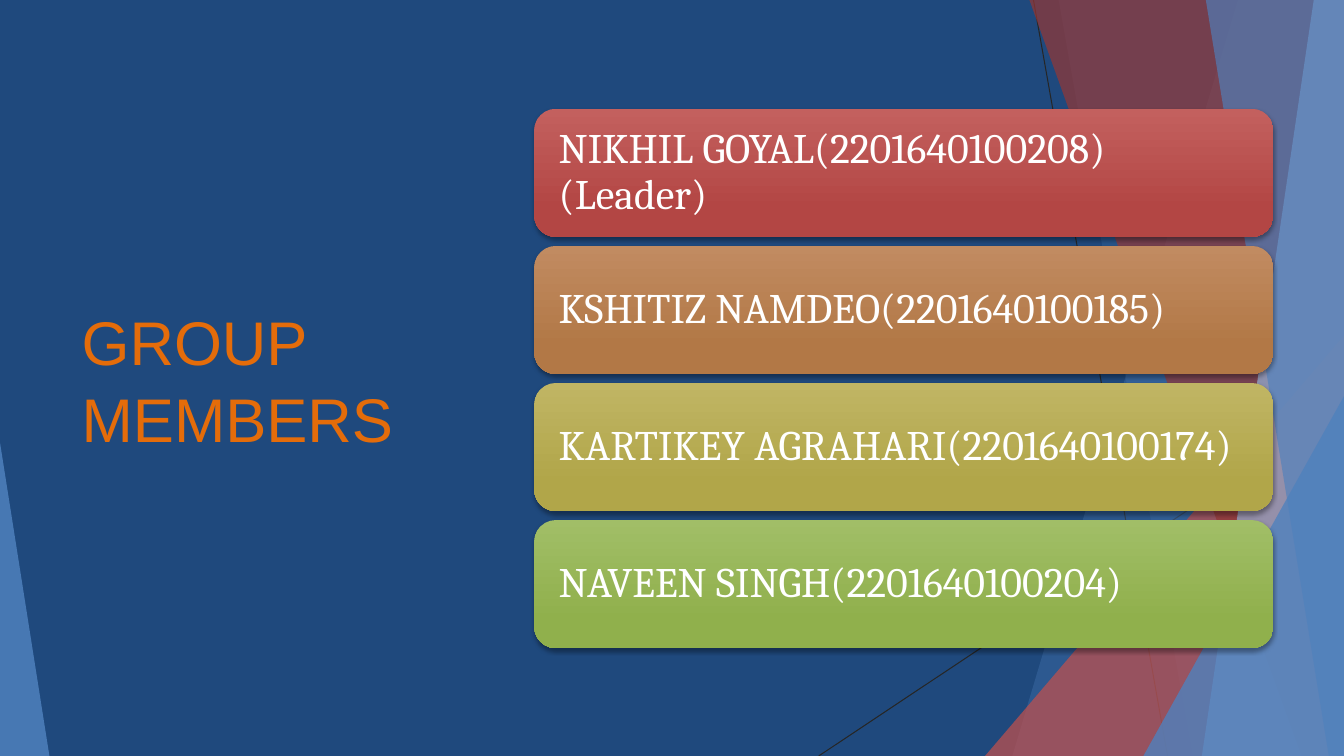
import pptx
import pptx.dml.color
import pptx.enum.shapes
import pptx.enum.text
import pptx.oxml
import pptx.oxml.ns
import pptx.util
from lxml import etree

Inches = pptx.util.Inches
Pt = pptx.util.Pt
SHAPES = pptx.enum.shapes.MSO_SHAPE
ANCHOR = pptx.enum.text.MSO_ANCHOR
ALIGN = pptx.enum.text.PP_ALIGN
qn = pptx.oxml.ns.qn

WIDTH, HEIGHT = 13.33, 7.5
MEMBERS = [
    ("NIKHIL GOYAL(2201640100208)(Leader)", "C3605E", "B34644"),
    ("KSHITIZ NAMDEO(2201640100185)", "C18B61", "B27846"),
    ("KARTIKEY AGRAHARI(2201640100174)", "C0B564", "B1A649"),
    ("NAVEEN SINGH(2201640100204)", "A1BE67", "90B04C"),
]


def rgb(value):
    return pptx.dml.color.RGBColor.from_string(value)


class GroupSlide:
    """Holds the fonts and the slide that the elements are drawn on."""

    title_font = "Arial"
    card_font = "Cambria"

    def __init__(self, slide, background):
        self.slide = slide
        fill = slide.background.fill
        fill.solid()
        fill.fore_color.rgb = rgb(background)

    def line(self, start, end):
        connector = self.slide.shapes.add_connector(
            pptx.enum.shapes.MSO_CONNECTOR.STRAIGHT,
            *(Inches(value) for value in start + end))
        connector.line.color.rgb = rgb("262626")
        connector.line.width = Pt(0.75)
        etree.SubElement(connector._element.spPr, qn("a:effectLst"))

    def tint(self, shape, color, opacity):
        """Give a shape a see-through fill with no outline or shadow."""
        shape.shadow.inherit = False
        shape.line.fill.background()
        shape.fill.solid()
        shape.fill.fore_color.rgb = rgb(color)
        color_element = shape._element.spPr.find(qn("a:solidFill"))[0]
        alpha = etree.SubElement(color_element, qn("a:alpha"))
        alpha.set("val", str(opacity * 1000))

    def band(self, top_x, bottom_x, color, opacity):
        """Fill from a slanted left edge to the right side of the slide."""
        corners = [(top_x, 0), (WIDTH, 0), (WIDTH, HEIGHT), (bottom_x, HEIGHT)]
        points = [(Inches(x), Inches(y)) for x, y in corners]
        builder = self.slide.shapes.build_freeform(*points[0], scale=1.0)
        builder.add_line_segments(points[1:], close=True)
        self.tint(builder.convert_to_shape(), color, opacity)

    def triangle(self, left, top, width, apex, color, opacity):
        """Stand a triangle on the bottom edge of the slide."""
        shape = self.slide.shapes.add_shape(
            SHAPES.ISOSCELES_TRIANGLE, Inches(left), Inches(top),
            Inches(width), Inches(HEIGHT - top))
        shape.adjustments[0] = apex
        self.tint(shape, color, opacity)

    def format_text(self, text_frame, font_name, size, color, line_spacing):
        text_frame.word_wrap = True
        text_frame.auto_size = pptx.enum.text.MSO_AUTO_SIZE.NONE
        text_frame.vertical_anchor = ANCHOR.MIDDLE
        paragraph = text_frame.paragraphs[0]
        paragraph.alignment = ALIGN.LEFT
        paragraph.line_spacing = line_spacing
        font = paragraph.runs[0].font
        font.name = font_name
        font.size = Pt(size)
        font.color.rgb = rgb(color)

    def title(self, text, left, top, width, height):
        title = self.slide.shapes.title
        title.left, title.top = Inches(left), Inches(top)
        title.width, title.height = Inches(width), Inches(height)
        title.text_frame.text = text
        self.format_text(title.text_frame, self.title_font, 44, "E46C0A", 1.04)

    def card(self, text, top_color, bottom_color, left, top, width, height):
        shape = self.slide.shapes.add_shape(
            SHAPES.ROUNDED_RECTANGLE, Inches(left), Inches(top),
            Inches(width), Inches(height))
        shape.line.fill.background()
        shape.fill.gradient()
        shape.fill.gradient_angle = 270
        stops = shape.fill.gradient_stops
        for stop, position, color in zip(stops, (0, 0.78), (top_color, bottom_color)):
            stop.position = position
            stop.color.rgb = rgb(color)
        self.drop_shadow(shape)
        text_frame = shape.text_frame
        text_frame.text = text
        text_frame.margin_left = text_frame.margin_right = Inches(0.18)
        self.format_text(text_frame, self.card_font, 30, "FFFFFF", 0.9)

    def drop_shadow(self, shape):
        shape.shadow.inherit = False
        effects = shape._element.spPr.find(qn("a:effectLst"))
        shadow = etree.SubElement(
            effects, qn("a:outerShdw"), blurRad=str(Pt(3)), dist=str(Pt(2)),
            dir="5400000", rotWithShape="0")
        color = etree.SubElement(shadow, qn("a:srgbClr"), val="000000")
        etree.SubElement(color, qn("a:alpha"), val="35000")


def main():
    presentation = pptx.Presentation()
    presentation.slide_width = Inches(WIDTH)
    presentation.slide_height = Inches(HEIGHT)
    title_only = presentation.slide_layouts[5]
    group = GroupSlide(presentation.slides.add_slide(title_only), "1F497D")

    group.line((10.25, 0), (11.58, HEIGHT))
    group.line((WIDTH, 4.03), (8.12, HEIGHT))
    group.band(12.28, 10.04, "4F81BD", 30)
    group.band(10.5, 11.83, "4F81BD", 20)
    group.triangle(9.77, 3.33, 3.56, 1, "C0504D", 72)
    group.band(10.21, 12.91, "953735", 70)
    group.band(13.03, 11.92, "95B3D7", 70)
    group.band(11.96, 13.18, "4F81BD", 65)
    group.triangle(11.34, 3.93, 1.99, 1, "4F81BD", 80)
    group.triangle(0, 4.39, 0.49, 0, "4F81BD", 85)

    group.title("GROUP MEMBERS", 0.71, 1.51, 3.88, 4.48)
    for index, (name, top_color, bottom_color) in enumerate(MEMBERS):
        group.card(name, top_color, bottom_color,
                   5.3, 1.08 + 1.36 * index, 7.33, 1.27)

    presentation.save("out.pptx")


if __name__ == "__main__":
    main()
